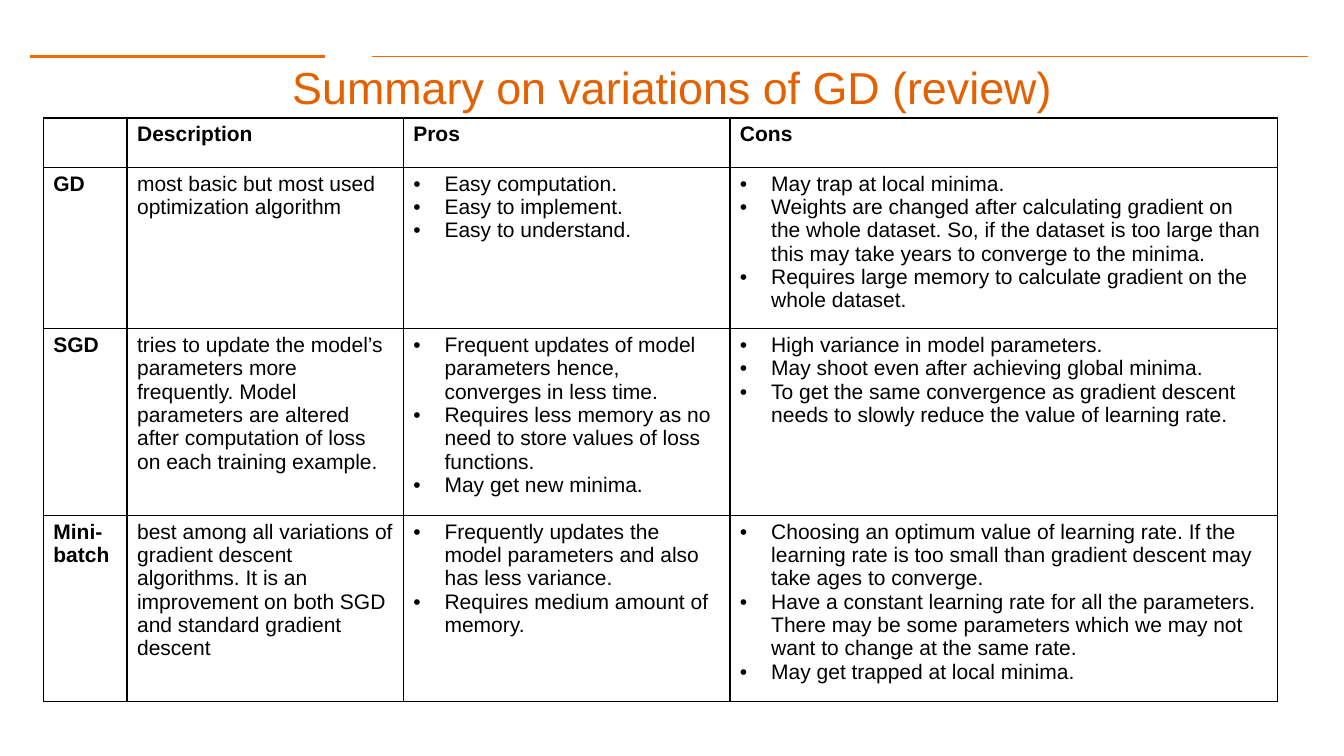
from lxml import etree
from pptx import Presentation
from pptx.dml.color import RGBColor
from pptx.enum.shapes import MSO_CONNECTOR
from pptx.enum.text import MSO_ANCHOR, PP_ALIGN
from pptx.oxml.ns import qn
from pptx.util import Pt

SCALE = 9144
STRAIGHT = MSO_CONNECTOR.STRAIGHT
MIDDLE = MSO_ANCHOR.MIDDLE
CENTER = PP_ALIGN.CENTER
COLORS = {"rule": "F66900", "title": "E46102", "ink": "000000"}

COLS = [83, 274, 324, 543]
ROWS = [49, 149, 173, 172]
CELLS = [
    ["", "Description", "Pros", "Cons"],
    [
        "GD",
        "most basic but most used optimization algorithm",
        ["Easy computation.", "Easy to implement.", "Easy to understand."],
        [
            "May trap at local minima.",
            "Weights are changed after calculating gradient on the whole dataset. "
            "So, if the dataset is too large than this may take years to converge to the minima.",
            "Requires large memory to calculate gradient on the whole dataset.",
        ],
    ],
    [
        "SGD",
        "tries to update the model’s parameters more frequently. "
        "Model parameters are altered after computation of loss on each training example.",
        [
            "Frequent updates of model parameters hence, converges in less time.",
            "Requires less memory as no need to store values of loss functions.",
            "May get new minima.",
        ],
        [
            "High variance in model parameters.",
            "May shoot even after achieving global minima.",
            "To get the same convergence as gradient descent needs to slowly reduce "
            "the value of learning rate.",
        ],
    ],
    [
        "Mini-batch",
        "best among all variations of gradient descent algorithms. "
        "It is an improvement on both SGD and standard gradient descent",
        [
            "Frequently updates the model parameters and also has less variance.",
            "Requires medium amount of memory.",
        ],
        [
            "Choosing an optimum value of learning rate. "
            "If the learning rate is too small than gradient descent may take ages to converge.",
            "Have a constant learning rate for all the parameters. "
            "There may be some parameters which we may not want to change at the same rate.",
            "May get trapped at local minima.",
        ],
    ],
]


def px(n):
    return n * SCALE


class Deck:
    """Holds the text style and the current slide, and draws its elements."""

    def __init__(self, wide, high, face):
        self.prs = Presentation()
        self.prs.slide_width, self.prs.slide_height = px(wide), px(high)
        self.slide = self.prs.slides.add_slide(self.prs.slide_layouts[6])
        self.face = face

    def style(self, para, size, color, bold=False):
        for run in para.runs:
            font = run.font
            font.name, font.size, font.bold = self.face, Pt(size), bold
            font.color.rgb = RGBColor.from_string(COLORS[color])

    def rule(self, left, right, y, width):
        line = self.slide.shapes.add_connector(STRAIGHT, px(left), px(y), px(right), px(y))
        line.line.color.rgb = RGBColor.from_string(COLORS["rule"])
        line.line.width = Pt(width)
        etree.SubElement(line._element.spPr, qn("a:effectLst"))

    def title(self, text, *box):
        frame = self.slide.shapes.add_textbox(*map(px, box)).text_frame
        frame.word_wrap = True
        frame.vertical_anchor = MIDDLE
        frame.margin_left = frame.margin_right = px(13)
        frame.margin_top = frame.margin_bottom = px(13)
        frame.text = text
        para = frame.paragraphs[0]
        para.alignment = CENTER
        self.style(para, 32, "title")

    def bullet(self, para):
        props = para._p.get_or_add_pPr()
        props.set("marL", str(px(31)))
        props.set("indent", str(px(-31)))
        etree.SubElement(props, qn("a:buFont"), typeface=self.face)
        etree.SubElement(props, qn("a:buChar"), char="•")

    def border(self, cell):
        props = cell._tc.get_or_add_tcPr()
        for side in ("lnL", "lnR", "lnT", "lnB"):
            line = etree.SubElement(props, qn(f"a:{side}"), w=str(Pt(1)))
            fill = etree.SubElement(line, qn("a:solidFill"))
            etree.SubElement(fill, qn("a:srgbClr"), val=COLORS["ink"])

    def cell(self, cell, value, bold):
        self.border(cell)
        cell.fill.background()
        points = isinstance(value, list)
        cell.text_frame.text = "\n".join(value) if points else value
        for para in cell.text_frame.paragraphs:
            if points:
                self.bullet(para)
            self.style(para, 15, "ink", bold)

    def table(self, left, top, cols, rows, cells):
        frame = self.slide.shapes.add_table(
            len(rows), len(cols), px(left), px(top), px(sum(cols)), px(sum(rows)))
        table = frame.table
        table.first_row = table.horz_banding = False
        for col, width in zip(table.columns, cols):
            col.width = px(width)
        for r, (row, high) in enumerate(zip(table.rows, rows)):
            row.height = px(high)
            for c, value in enumerate(cells[r]):
                self.cell(table.cell(r, c), value, r == 0 or c == 0)


def main():
    deck = Deck(1333, 750, "Arial")
    deck.rule(30, 322, 56, 2)
    deck.rule(369, 1297, 56, 1)
    deck.title("Summary on variations of GD (review)", 67, 50, 1200, 71)
    deck.table(43, 117, COLS, ROWS, CELLS)
    deck.prs.save("out.pptx")


if __name__ == "__main__":
    main()
